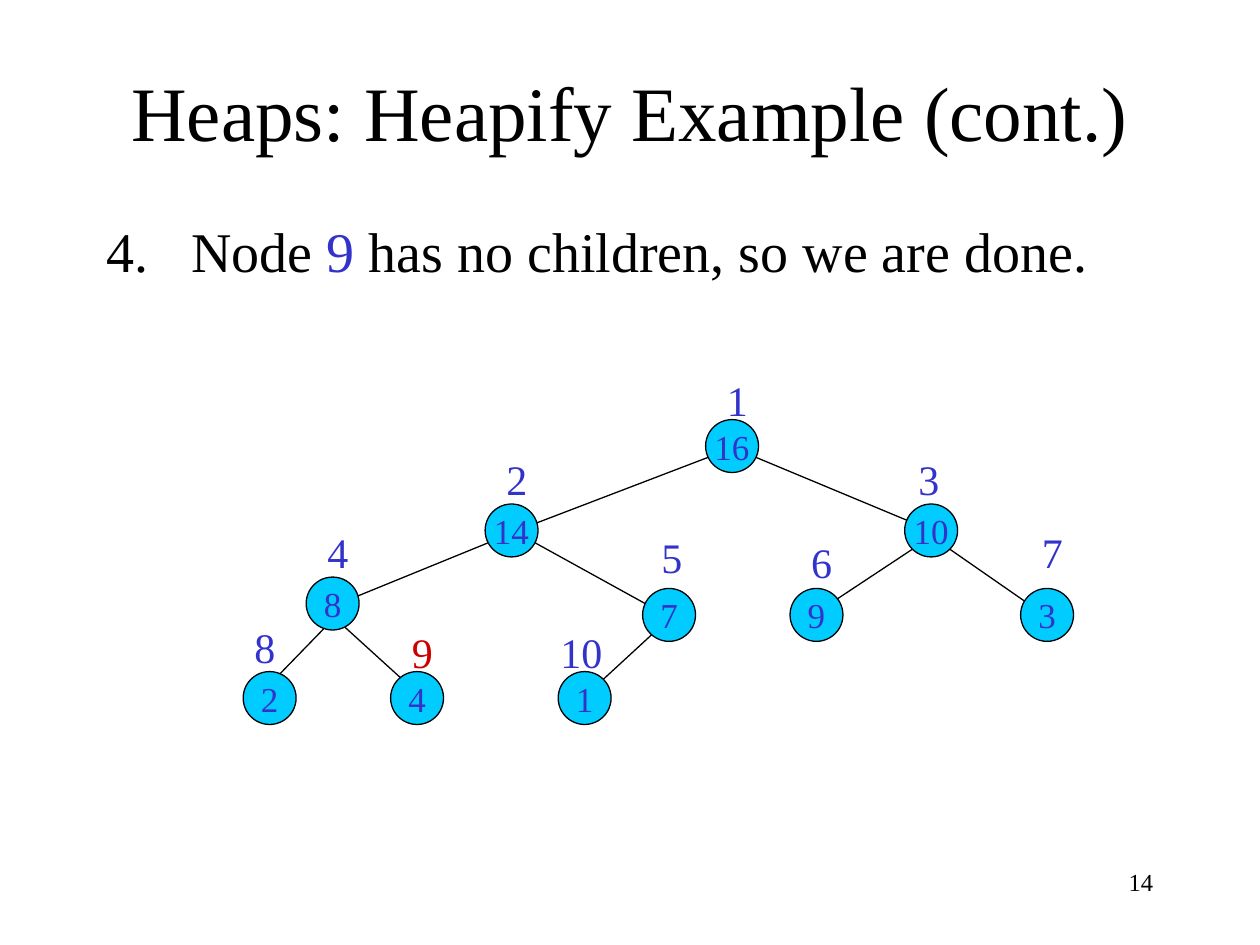
"""Build the closing slide of the heapify example: a ten-node binary heap."""
from dataclasses import dataclass
from typing import Any, NamedTuple

from lxml.etree import SubElement
from pptx import Presentation
from pptx.dml.color import RGBColor
from pptx.enum.shapes import MSO_CONNECTOR, MSO_SHAPE
from pptx.enum.text import MSO_ANCHOR, MSO_AUTO_SIZE, PP_ALIGN
from pptx.oxml.ns import qn
from pptx.util import Inches, Pt


@dataclass(frozen=True)
class Theme:
    face: str = "Times New Roman"
    ink: RGBColor = RGBColor(0, 0, 0)
    blue: RGBColor = RGBColor(0x33, 0x33, 0xCC)
    red: RGBColor = RGBColor(0xCD, 0, 0)
    cyan: RGBColor = RGBColor(0, 0xCC, 0xFF)
    title: int = 44
    body: int = 32
    tag: int = 24
    key: int = 20
    foot: int = 14
    line: float = 0.75


class Node(NamedTuple):
    key: str
    left: float
    top: float
    tag_left: float
    tag_top: float


class Edge(NamedTuple):
    x1: float
    y1: float
    x2: float
    y2: float


class Run(NamedTuple):
    text: str
    size: int
    color: RGBColor


THEME = Theme()
SIZE = 0.42
ACTIVE = 9
NODES = [
    Node("16", 5.6, 3.33, 5.67, 2.92),
    Node("14", 3.85, 4, 3.92, 3.55),
    Node("10", 7.18, 4, 7.19, 3.55),
    Node("8", 2.43, 4.58, 2.5, 4.13),
    Node("7", 5.1, 4.67, 5.15, 4.17),
    Node("9", 6.27, 4.67, 6.34, 4.21),
    Node("3", 8.1, 4.67, 8.17, 4.13),
    Node("2", 1.93, 5.33, 1.92, 4.88),
    Node("4", 3.1, 5.33, 3.17, 4.92),
    Node("1", 4.43, 5.33, 4.35, 4.92),
]
EDGES = [
    Edge(5.62, 3.63, 4.26, 4.15),
    Edge(6, 3.63, 7.2, 4.13),
    Edge(3.87, 4.31, 2.84, 4.73),
    Edge(2.57, 4.99, 2.22, 5.35),
    Edge(2.74, 4.98, 3.18, 5.38),
    Edge(4.25, 4.31, 5.12, 4.79),
    Edge(5.17, 5.04, 4.79, 5.39),
    Edge(7.24, 4.36, 6.65, 4.75),
    Edge(7.54, 4.36, 8.13, 4.77),
]
TIGHT = {"word_wrap": False, "auto_size": MSO_AUTO_SIZE.SHAPE_TO_FIT_TEXT}
DISC = {"word_wrap": False, "vertical_anchor": MSO_ANCHOR.MIDDLE}
TITLE = {"word_wrap": True, "vertical_anchor": MSO_ANCHOR.MIDDLE}
WRAP = {"word_wrap": True}


def style(item: Any, form: dict[str, Any]) -> None:
    """Set each named attribute on the item."""
    for name, value in form.items():
        setattr(item, name, value)


def write(para: Any, runs: list[Run]) -> None:
    """Add formatted runs to the paragraph."""
    for text, size, color in runs:
        run = para.add_run()
        run.text = text
        style(run.font, {"name": THEME.face, "size": Pt(size)})
        run.font.color.rgb = color


def add_text(slide: Any, area: tuple[float, ...], runs: list[Run],
             form: dict[str, Any], align: PP_ALIGN = PP_ALIGN.LEFT) -> Any:
    """Add a text box and return its paragraph."""
    frame = slide.shapes.add_textbox(*map(Inches, area)).text_frame
    style(frame, form)
    para = frame.paragraphs[0]
    para.alignment = align
    write(para, runs)
    return para


def number(para: Any, start: int, indent: float) -> None:
    """Give the paragraph a hanging automatic number."""
    props = para._p.get_or_add_pPr()
    props.set("marL", str(Inches(indent)))
    props.set("indent", str(-Inches(indent)))
    font = SubElement(props, qn("a:buFont"))
    font.set("typeface", THEME.face)
    auto = SubElement(props, qn("a:buAutoNum"))
    auto.set("type", "arabicPeriod")
    auto.set("startAt", str(start))


def add_node(slide: Any, node: Node) -> None:
    """Draw one heap node with its key."""
    area = map(Inches, (node.left, node.top, SIZE, SIZE))
    disc = slide.shapes.add_shape(MSO_SHAPE.OVAL, *area)
    disc.shadow.inherit = False
    disc.fill.solid()
    disc.fill.fore_color.rgb = THEME.cyan
    disc.line.color.rgb = THEME.ink
    disc.line.width = Pt(THEME.line)
    style(disc.text_frame, DISC)
    para = disc.text_frame.paragraphs[0]
    para.alignment = PP_ALIGN.CENTER
    write(para, [Run(node.key, THEME.key, THEME.blue)])


def add_edge(slide: Any, edge: Edge) -> None:
    """Draw a plain line between two nodes."""
    link = slide.shapes.add_connector(MSO_CONNECTOR.STRAIGHT, *map(Inches, edge))
    link.line.color.rgb = THEME.ink
    link.line.width = Pt(THEME.line)
    SubElement(link._element.spPr, qn("a:effectLst"))


def add_tag(slide: Any, index: int, node: Node) -> None:
    """Write the array index above a node."""
    color = THEME.red if index == ACTIVE else THEME.blue
    width = 0.36 if index < 10 else 0.53
    area = (node.tag_left, node.tag_top, width, 0.5)
    add_text(slide, area, [Run(str(index), THEME.tag, color)], TIGHT)


def main() -> None:
    """Build and save the slide."""
    deck = Presentation()
    style(deck, {"slide_width": Inches(10), "slide_height": Inches(7.5)})
    slide = deck.slides.add_slide(deck.slide_layouts[6])
    head = [Run("Heaps: Heapify Example (cont.)", THEME.title, THEME.ink)]
    add_text(slide, (0.75, 0.25, 8.5, 1.25), head, TITLE, PP_ALIGN.CENTER)
    step = [
        Run("Node ", THEME.body, THEME.ink),
        Run("9", THEME.body, THEME.blue),
        Run(" has no children, so we are done.", THEME.body, THEME.ink),
    ]
    number(add_text(slide, (0.75, 1.67, 8.5, 5), step, WRAP), 4, 0.67)
    for node in NODES:
        add_node(slide, node)
    for edge in EDGES:
        add_edge(slide, edge)
    for index, node in enumerate(NODES, 1):
        add_tag(slide, index, node)
    foot = [Run("14", THEME.foot, THEME.ink)]
    add_text(slide, (7.17, 6.83, 2.08, 0.5), foot, WRAP, PP_ALIGN.RIGHT)
    deck.save("out.pptx")


if __name__ == "__main__":
    main()
